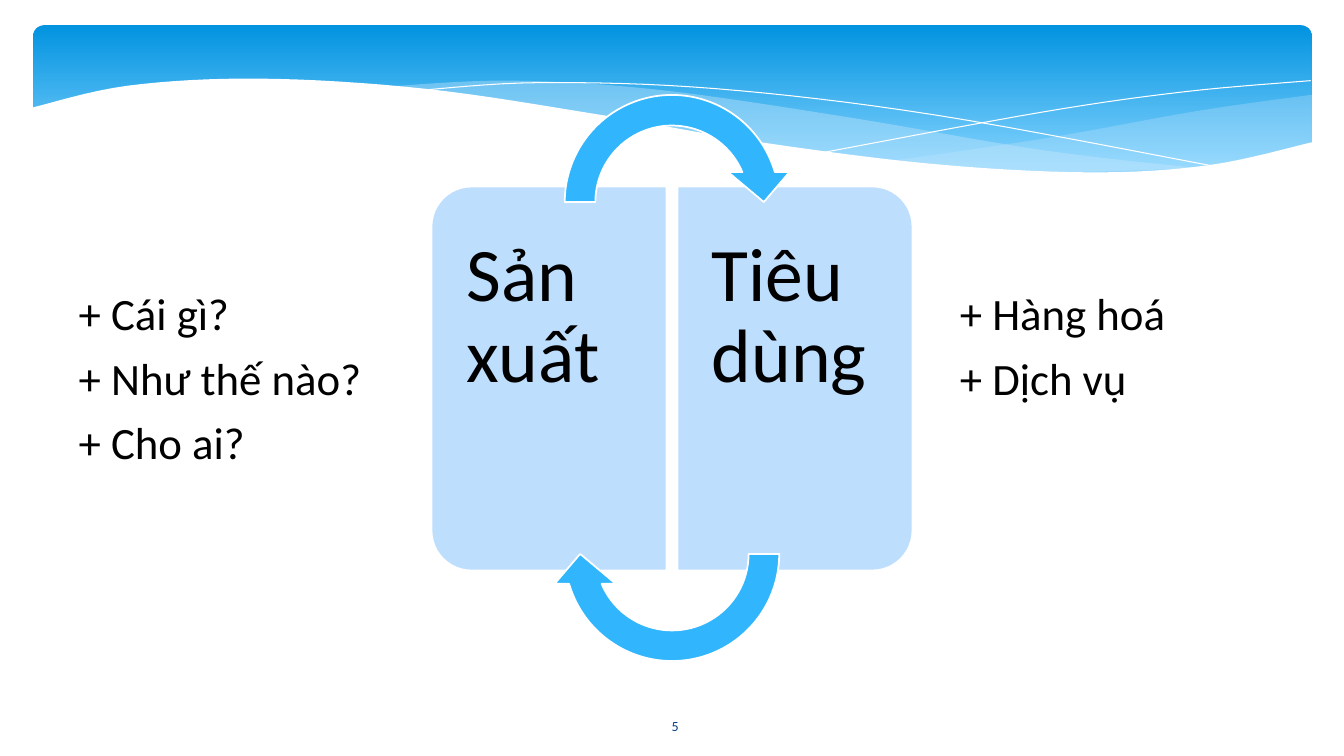
"""Build the slide on the cycle between production and consumption."""
from dataclasses import dataclass
from typing import Optional

from lxml.etree import SubElement
from pptx import Presentation
from pptx.dml.color import RGBColor
from pptx.enum.shapes import MSO_SHAPE
from pptx.enum.text import MSO_ANCHOR, MSO_AUTO_SIZE, PP_ALIGN
from pptx.oxml.ns import qn
from pptx.util import Inches, Pt

HUES = {"deep": "0293E0", "light": "83D3FE", "mist": "C6E7FC", "white": "FFFFFF",
        "panel": "BEDEFE", "arrow": "31B6FD", "ink": "000000", "navy": "073E87"}
FONT = "Calibri"
STEPS = 8


@dataclass
class Wave:
    curves: list
    fill: Optional[str] = None
    alpha: int = 100


@dataclass
class Panel:
    text: str
    left: float
    turn: int
    box: float
    pads: tuple


@dataclass
class Arrow:
    top: float
    turn: int


@dataclass
class Points:
    slot: int
    left: float
    width: float
    lines: list


WAVES = [
    Wave([[(13.01, 0.94), (11.88, 1.1), (10.38, 1.37), (8.82, 1.6)],
          [(8.82, 1.6), (10.56, 1.72), (11.86, 1.66), (13.01, 1.42)]], "mist", 29),
    Wave([[(11.9, 1.67), (10.34, 1.49), (8.39, 1.16), (6.52, 0.89), (5.06, 0.8), (3.82, 0.86)],
          [(3.82, 0.86), (5.99, 1.16), (8.02, 1.5), (9.98, 1.7), (11.9, 1.67)]], "mist", 40),
    Wave([[(4.12, 0.9), (5.35, 0.82), (7.1, 0.88), (9.27, 1.14), (12.1, 1.66)]]),
    Wave([[(8.18, 1.51), (10.35, 1.11), (11.75, 0.91), (13, 0.8)]]),
    Wave([[(13.02, 1.41), (11.98, 1.64), (10.78, 1.71), (9.18, 1.62), (7.4, 1.39),
           (5.96, 1.14), (4.21, 0.88), (2.58, 0.78), (1.27, 0.85), (0.31, 1.07)],
          [(0.31, 2.24), (13.02, 2.24)]], "white"),
]
PANELS = [Panel("Sản xuất", 3.54, 270, 4.4, (0.23, 0.34)),
          Panel("Tiêu dùng", 5.98, 90, 6.72, (0.34, 0.23))]
ARROWS = [Arrow(0.79, 0), Arrow(4.28, 180)]
LISTS = [Points(1, 0.68, 3.21, ["+ Cái gì?", "+ Như thế nào?", "+ Cho ai?"]),
         Points(2, 9.42, 3.84, ["+ Hàng hoá", "+ Dịch vụ"])]


def tint(name: str) -> RGBColor:
    return RGBColor.from_string(HUES[name])


def blend(a: float, b: float, c: float, d: float, t: float) -> float:
    return b + t * (c - a + t * (2 * a - 5 * b + 4 * c - d + t * (3 * (b - c) + d - a))) / 2


def smooth(knots: list) -> list:
    ends = [knots[0], *knots, knots[-1]]
    dots = [tuple(blend(*axis, step / STEPS) for axis in zip(*ends[i:i + 4]))
            for i in range(len(knots) - 1) for step in range(STEPS)]
    return dots + [knots[-1]]


def paint(shape, fill: Optional[str], line: Optional[str], width: float = 1.25) -> None:
    shape.shadow.inherit = False
    if fill:
        shape.fill.solid()
        shape.fill.fore_color.rgb = tint(fill)
    else:
        shape.fill.background()
    if line:
        shape.line.color.rgb = tint(line)
        shape.line.width = Pt(width)
    else:
        shape.line.fill.background()


def write(para, text: str, size: float, hue: str) -> None:
    run = para.add_run()
    run.text = text
    run.font.size = Pt(size)
    run.font.name = FONT
    run.font.color.rgb = tint(hue)


def add_text(slide, area: tuple):
    frame = slide.shapes.add_textbox(*map(Inches, area)).text_frame
    frame.word_wrap = True
    return frame


def draw_band(slide) -> None:
    area = map(Inches, (0.33, 0.25, 12.68, 1.56))
    band = slide.shapes.add_shape(MSO_SHAPE.ROUNDED_RECTANGLE, *area)
    band.adjustments[0] = 0.07
    paint(band, None, None)
    band.fill.gradient()
    band.fill.gradient_angle = 270
    for stop, hue, place in zip(band.fill.gradient_stops, ("deep", "light"), (0, 0.9)):
        stop.color.rgb = tint(hue)
        stop.position = place


def draw_wave(slide, wave: Wave) -> None:
    dots = [(Inches(x), Inches(y)) for curve in wave.curves for x, y in smooth(curve)]
    pen = slide.shapes.build_freeform(*dots[0])
    pen.add_line_segments(dots[1:], close=bool(wave.fill))
    shape = pen.convert_to_shape()
    paint(shape, wave.fill, None if wave.fill else "white", 0)
    if wave.alpha < 100:
        hue = shape.fill._xPr.find(qn("a:solidFill"))[0]
        SubElement(hue, qn("a:alpha")).set("val", str(wave.alpha * 1000))


def draw_panel(slide, panel: Panel) -> None:
    area = map(Inches, (panel.left, 2.59, 3.81, 2.33))
    shape = slide.shapes.add_shape(MSO_SHAPE.ROUND_2_SAME_RECTANGLE, *area)
    shape.adjustments[0] = 0.17
    shape.rotation = panel.turn
    paint(shape, "panel", "white")
    frame = add_text(slide, (panel.box, 1.96, 2.21, 3.58))
    frame.margin_left, frame.margin_right = map(Inches, panel.pads)
    frame.margin_top = frame.margin_bottom = Inches(0.38)
    para = frame.paragraphs[0]
    para.line_spacing = 0.9
    write(para, panel.text, 54, "ink")


def draw_arrow(slide, arrow: Arrow) -> None:
    area = map(Inches, (5.45, arrow.top, 2.43, 2.43))
    shape = slide.shapes.add_shape(MSO_SHAPE.CIRCULAR_ARROW, *area)
    for place, value in enumerate((0.125, 11.42, 204.58, 108, 0.125)):
        shape.adjustments[place] = value
    shape.rotation = arrow.turn
    paint(shape, "arrow", "white")


def fill_list(slide, points: Points) -> None:
    body = slide.placeholders[points.slot]
    body.left, body.top = Inches(points.left), Inches(2.78)
    body.width, body.height = Inches(points.width), Inches(0.65 * len(points.lines))
    frame = body.text_frame
    frame.auto_size = MSO_AUTO_SIZE.SHAPE_TO_FIT_TEXT
    frame.vertical_anchor = MSO_ANCHOR.TOP
    for place, line in enumerate(points.lines):
        para = frame.add_paragraph() if place else frame.paragraphs[0]
        para.alignment = PP_ALIGN.JUSTIFY
        para.space_before, para.space_after = Pt(0), Pt(8)
        props = para._p.get_or_add_pPr()
        props.set("marL", "0")
        props.set("indent", "0")
        SubElement(props, qn("a:buNone"))
        write(para, line, 32, "ink")


def main() -> None:
    deck = Presentation()
    deck.slide_width, deck.slide_height = Inches(13.33), Inches(7.5)
    slide = deck.slides.add_slide(deck.slide_layouts[3])
    title = slide.shapes.title.element
    title.getparent().remove(title)
    draw_band(slide)
    for wave in WAVES:
        draw_wave(slide, wave)
    frame = add_text(slide, (5.85, 7, 1.69, 0.4))
    frame.vertical_anchor = MSO_ANCHOR.MIDDLE
    frame.paragraphs[0].alignment = PP_ALIGN.CENTER
    write(frame.paragraphs[0], "5", 10, "navy")
    for panel in PANELS:
        draw_panel(slide, panel)
    for arrow in ARROWS:
        draw_arrow(slide, arrow)
    for points in LISTS:
        fill_list(slide, points)
    deck.save("out.pptx")


if __name__ == "__main__":
    main()
